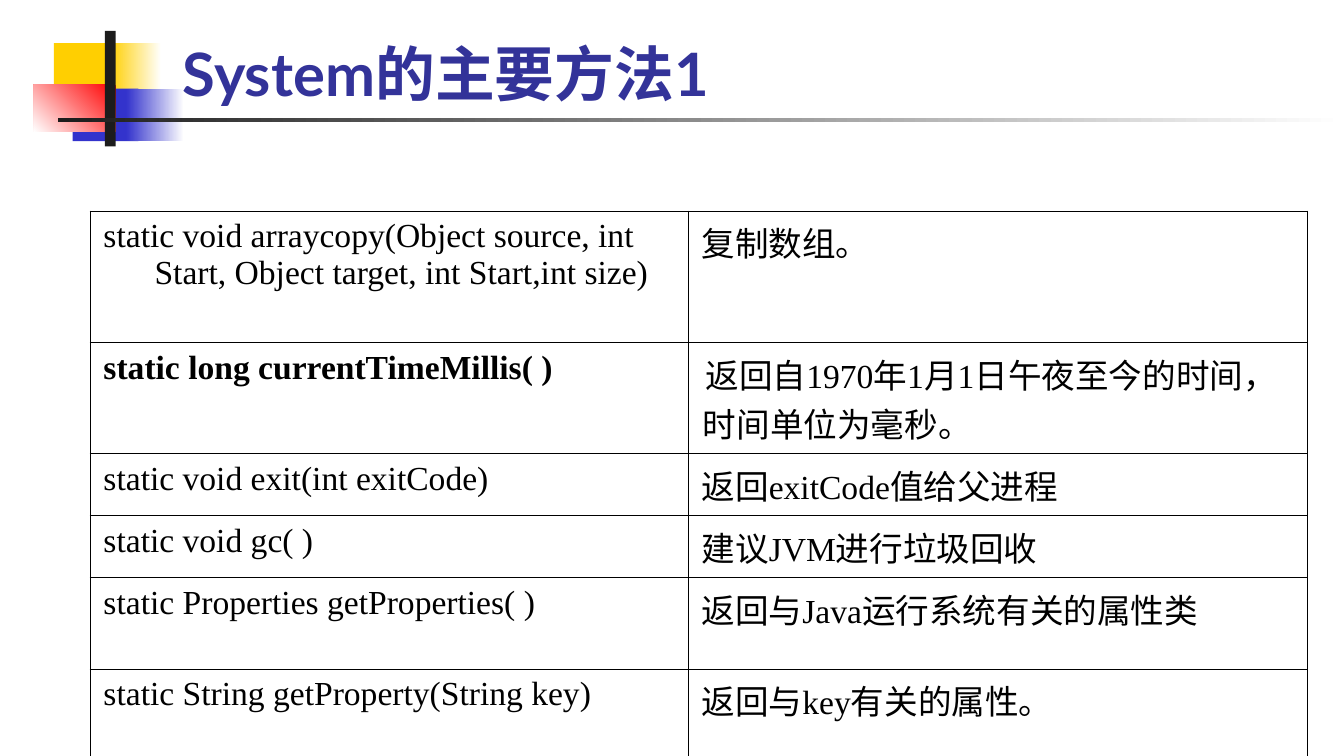
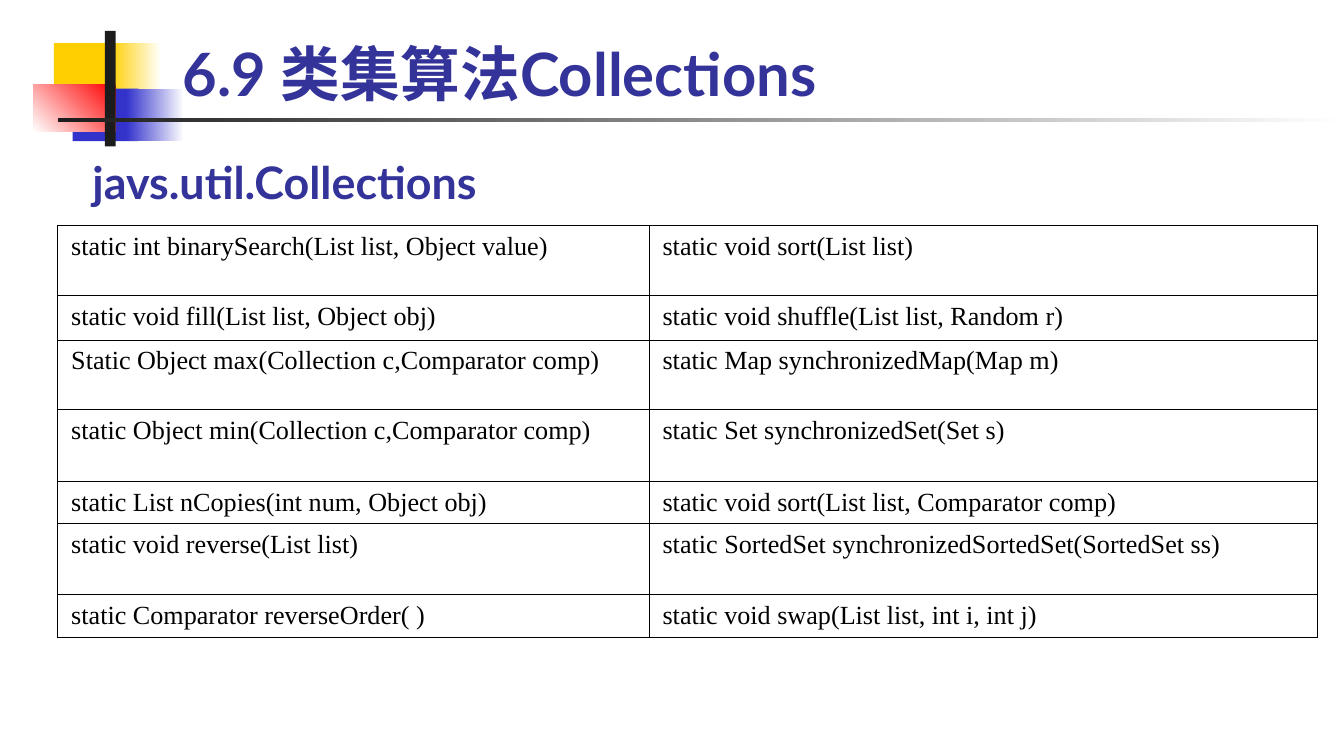
"""Build two slides on Java system methods and collection algorithms."""
from lxml import etree
from pptx import Presentation
from pptx import util as u
from pptx.dml.color import RGBColor
from pptx.enum import shapes, text
from pptx.oxml import ns

HUES = {
    "white": "FFFFFF", "black": "000000", "ink": "1C1C1C", "title": "333399",
    "gold": "FFCF01", "blue": "3333CC", "red": "FF0000",
}
FONTS = {"head": "Lato", "body": "Times New Roman"}
HANG = (0.38, -0.38)

DECOR = [
    ((0.4, 0.32, 0.51, 0.39), ("gold",), 0),
    ((0.82, 0.32, 0.38, 0.39), ("white", "gold"), 180),
    ((0.54, 0.66, 0.49, 0.39), ("blue",), 0),
    ((0.94, 0.66, 0.43, 0.39), ("white", "blue"), 180),
    ((0.25, 0.63, 0.61, 0.35), ("red", "white"), 225),
    ((0.78, 0.23, 0.08, 0.86), ("ink",), 0),
    ((0.43, 0.88, 9.57, 0.03), ("white", "ink"), 180),
]

SYSTEM = [
    ("static void arraycopy(Object source, int Start, Object target, int Start,int size)",
     "复制数组。"),
    ("static long currentTimeMillis( )", "返回自1970年1月1日午夜至今的时间，时间单位为毫秒。"),
    ("static void exit(int exitCode)", "返回exitCode值给父进程"),
    ("static void gc( )", "建议JVM进行垃圾回收"),
    ("static Properties getProperties( )", "返回与Java运行系统有关的属性类"),
    ("static String getProperty(String key)", "返回与key有关的属性。"),
]

LISTS = [
    ("static int binarySearch(List list, Object value)", "static void sort(List list)"),
    ("static void fill(List list, Object obj)", "static void shuffle(List list, Random r)"),
    ("Static Object max(Collection c,Comparator comp)", "static Map synchronizedMap(Map m)"),
    ("static Object min(Collection c,Comparator comp)", "static Set synchronizedSet(Set s)"),
    ("static List nCopies(int num, Object obj)", "static void sort(List list, Comparator comp)"),
    ("static void reverse(List list)", "static SortedSet synchronizedSortedSet(SortedSet ss)"),
    ("static Comparator reverseOrder( )", "static void swap(List list, int i, int j)"),
]


def tint(name):
    """Return the named colour."""
    return RGBColor.from_string(HUES[name])


def inch(box):
    """Turn a box of numbers into lengths."""
    return [u.Inches(n) for n in box]


def write(frame, words, font, size, hue, bold=False, dent=(0, 0)):
    """Put one styled, indented paragraph into a text frame."""
    frame.text = words
    para = frame.paragraphs[0]
    para.alignment = text.PP_ALIGN.LEFT
    props = para._p.get_or_add_pPr()
    for key, gap in zip(("marL", "indent"), dent):
        props.set(key, str(int(u.Inches(gap))))
    for run in para.runs:
        run.font.name = FONTS[font]
        run.font.size = u.Pt(size)
        run.font.bold = bold
        run.font.color.rgb = tint(hue)


def block(slide, box, hues, turn):
    """Add a plain or fading rectangle."""
    shape = slide.shapes.add_shape(shapes.MSO_SHAPE.RECTANGLE, *inch(box))
    shape.shadow.inherit = False
    shape.line.fill.background()
    if len(hues) == 1:
        shape.fill.solid()
        shape.fill.fore_color.rgb = tint(hues[0])
        return
    shape.fill.gradient()
    shape.fill.gradient_angle = turn
    for stop, hue in zip(shape.fill.gradient_stops, hues):
        stop.color.rgb = tint(hue)


def start(deck, words, dent=(0, 0)):
    """Add a slide with the corner blocks and its title in front."""
    slide = deck.slides.add_slide(deck.slide_layouts[5])
    slide.background.fill.solid()
    slide.background.fill.fore_color.rgb = tint("white")
    for part in DECOR:
        block(slide, *part)
    title = slide.shapes.title
    title.left, title.top, title.width, title.height = inch((1.26, 0.17, 8.52, 0.69))
    frame = title.text_frame
    frame.auto_size = text.MSO_AUTO_SIZE.NONE
    frame.word_wrap = True
    frame.vertical_anchor = text.MSO_ANCHOR.BOTTOM
    write(frame, words, "head", 32, "title", True, dent)
    slide.shapes._spTree.append(title._element)
    return slide


def frame_cell(cell):
    """Draw thin black lines round a cell and leave it unfilled."""
    props = cell._tc.get_or_add_tcPr()
    for side in ("lnL", "lnR", "lnT", "lnB"):
        line = etree.SubElement(props, ns.qn(f"a:{side}"), w=str(int(u.Pt(0.45))))
        fill = etree.SubElement(line, ns.qn("a:solidFill"))
        etree.SubElement(fill, ns.qn("a:srgbClr"), val=HUES["black"])
    cell.fill.background()


def grid(slide, spot, cols, rows, cells, size, bold=(), dents=None):
    """Add a ruled table at a spot, with some bold cells and indents."""
    dents = dents or {}
    box = inch((*spot, sum(cols), sum(rows)))
    table = slide.shapes.add_table(len(rows), len(cols), *box).table
    table.first_row = table.horz_banding = False
    for col, wide in zip(table.columns, cols):
        col.width = u.Inches(wide)
    for row, high in zip(table.rows, rows):
        row.height = u.Inches(high)
    for r, line in enumerate(cells):
        for c, words in enumerate(line):
            cell = table.cell(r, c)
            frame_cell(cell)
            write(cell.text_frame, words, "body", size, "black",
                  (r, c) in bold, dents.get((r, c), HANG))


def label(slide, box, words):
    """Add a heading above the table."""
    frame = slide.shapes.add_textbox(*inch(box)).text_frame
    frame.word_wrap = True
    frame.auto_size = text.MSO_AUTO_SIZE.SHAPE_TO_FIT_TEXT
    write(frame, words, "head", 24, "title", True)


def main():
    """Build and save the deck."""
    deck = Presentation()
    deck.slide_width = u.Inches(10)
    deck.slide_height = deck.slide_width * 9 // 16
    slide = start(deck, "System的主要方法1")
    grid(slide, (0.67, 1.57), (4.45, 4.61), (0.98, 0.68, 0.42, 0.37, 0.68, 0.68),
         SYSTEM, 18, {(1, 0)}, {(1, 1): (0.01, 0.02), (4, 1): (0, 0)})
    slide = start(deck, "6.9 类集算法Collections", (0.92, -0.92))
    grid(slide, (0.43, 1.68), (4.4, 4.97), (0.52, 0.33, 0.52, 0.53, 0.31, 0.53, 0.32),
         LISTS, 14)
    label(slide, (0.59, 1.1, 6.14, 0.5), "javs.util.Collections")
    deck.save("out.pptx")


if __name__ == "__main__":
    main()
